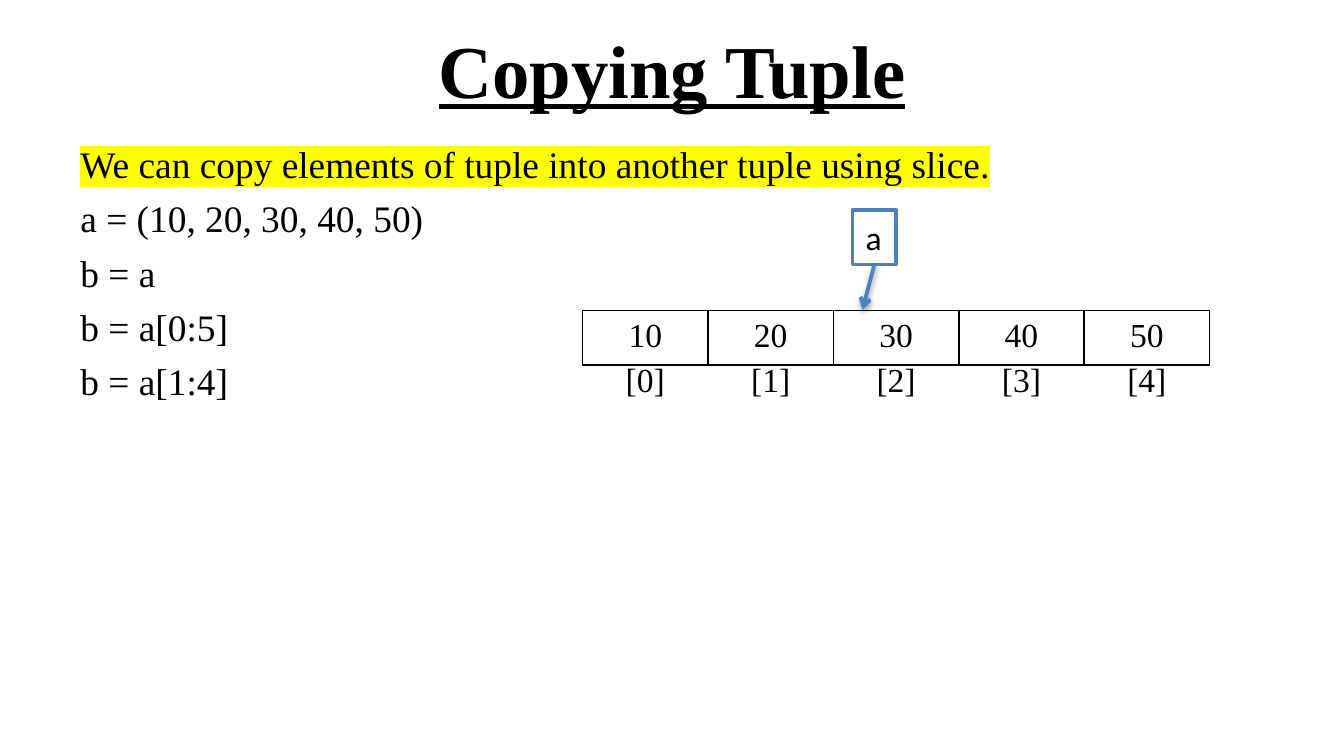
from dataclasses import dataclass

from lxml.etree import SubElement
from pptx import Presentation
from pptx.dml.color import RGBColor
from pptx.enum.shapes import MSO_CONNECTOR as Connector, MSO_SHAPE as Shape
from pptx.enum.text import MSO_ANCHOR as Anchor, MSO_AUTO_SIZE as AutoSize, PP_ALIGN as Align
from pptx.oxml.ns import qn
from pptx.util import Cm, Pt


@dataclass(frozen=True)
class Theme:
    serif: str = "Times New Roman"
    sans: str = "Calibri"
    ink: str = "000000"
    paper: str = "FFFFFF"
    accent: str = "4F81BD"
    marker: str = "FFFF00"
    title_size: int = 40
    body_size: int = 20
    label_size: int = 18
    plain_table: str = "{2D5ABB26-0587-4C30-8999-92F81FD0307C}"


def rgb(value):
    return RGBColor.from_string(value)


def add_color(parent, value):
    return SubElement(parent, qn("a:srgbClr"), val=value)


class SlideBuilder:
    def __init__(self, slide, theme):
        self.slide = slide
        self.theme = theme

    def format_runs(self, paragraph, size, name=None, align=Align.LEFT):
        paragraph.alignment = align
        for run in paragraph.runs:
            run.font.size = Pt(size)
            run.font.name = name or self.theme.serif
            run.font.color.rgb = rgb(self.theme.ink)

    def title(self, text, left, top, width, height):
        shape = self.slide.shapes.title
        shape.left, shape.top, shape.width, shape.height = map(Cm, (left, top, width, height))
        frame = shape.text_frame
        frame.text = text
        frame.vertical_anchor = Anchor.MIDDLE
        self.format_runs(frame.paragraphs[0], self.theme.title_size, align=Align.CENTER)
        font = frame.paragraphs[0].runs[0].font
        font.bold = True
        font.underline = True

    def body(self, lines, left, top, width, height):
        frame = self.slide.shapes.add_textbox(*map(Cm, (left, top, width, height))).text_frame
        frame.word_wrap = True
        frame.text = "\n".join(lines)
        for index, paragraph in enumerate(frame.paragraphs):
            self.format_runs(paragraph, self.theme.body_size)
            if index:
                paragraph.space_before = Pt(5)
        self.highlight(frame.paragraphs[0].runs[0])

    def highlight(self, run):
        properties = run.font._element
        marker = SubElement(properties, qn("a:highlight"))
        add_color(marker, self.theme.marker)
        properties.find(qn("a:latin")).addprevious(marker)

    def name_box(self, text, left, top, width, height):
        shape = self.slide.shapes.add_shape(Shape.RECTANGLE, *map(Cm, (left, top, width, height)))
        shape.shadow.inherit = False
        shape.fill.solid()
        shape.fill.fore_color.rgb = rgb(self.theme.paper)
        shape.line.color.rgb = rgb(self.theme.accent)
        shape.line.width = Pt(2)
        frame = shape.text_frame
        frame.text = text
        frame.word_wrap = False
        frame.auto_size = AutoSize.SHAPE_TO_FIT_TEXT
        frame.vertical_anchor = Anchor.TOP
        self.format_runs(frame.paragraphs[0], self.theme.label_size, self.theme.sans)
        return shape

    def arrow_from(self, shape, end_x, end_y):
        arrow = self.slide.shapes.add_connector(
            Connector.STRAIGHT, shape.left, shape.top, Cm(end_x), Cm(end_y))
        arrow.begin_connect(shape, 2)
        arrow.line.color.rgb = rgb(self.theme.accent)
        arrow.line.width = Pt(2)
        SubElement(arrow.line._get_or_add_ln(), qn("a:tailEnd"), type="arrow")
        # Soft shadow straight below the line
        effects = SubElement(arrow._element.spPr, qn("a:effectLst"))
        shadow = SubElement(effects, qn("a:outerShdw"), blurRad=str(Pt(3.1)),
                            dist=str(Pt(1.6)), dir="5400000", rotWithShape="0")
        SubElement(add_color(shadow, self.theme.ink), qn("a:alpha"), val="38000")

    def row_table(self, values, left, top, width, height, bordered=False):
        table = self.slide.shapes.add_table(
            1, len(values), *map(Cm, (left, top, width, height))).table
        table.first_row = False
        table.horz_banding = False
        table._tbl.tblPr.find(qn("a:tableStyleId")).text = self.theme.plain_table
        for cell, value in zip(table.rows[0].cells, values):
            cell.text_frame.text = value
            self.format_runs(cell.text_frame.paragraphs[0], self.theme.label_size,
                             align=Align.CENTER)
            if bordered:
                self.border(cell)
            cell.fill.background()

    def border(self, cell):
        properties = cell._tc.get_or_add_tcPr()
        for side in ("lnL", "lnR", "lnT", "lnB"):
            line = SubElement(properties, qn(f"a:{side}"), w=str(Pt(1)))
            add_color(SubElement(line, qn("a:solidFill")), self.theme.ink)


def main():
    presentation = Presentation()
    presentation.slide_width = Cm(25.4)
    presentation.slide_height = Cm(14.29)
    slide = presentation.slides.add_slide(presentation.slide_layouts[5])
    builder = SlideBuilder(slide, Theme())

    # Heading and code lines
    margin, content_width = 1.27, 22.86
    builder.title("Copying Tuple", margin, 0.1, content_width, 2.39)
    builder.body([
        "We can copy elements of tuple into another tuple using slice.",
        "a = (10, 20, 30, 40, 50)",
        "b = a",
        "b = a[0:5]",
        "b = a[1:4]",
    ], margin, 2.55, content_width, 9.9)

    # Variable name pointing at the tuple
    name_box = builder.name_box("a", 16.11, 3.97, 0.83, 1.03)
    builder.arrow_from(name_box, 16.3, 5.85)

    # Tuple elements with their indexes below
    values = [str(number) for number in range(10, 60, 10)]
    indexes = [f"[{index}]" for index in range(len(values))]
    left, width, height = 11.01, 11.85, 1.03
    builder.row_table(values, left, 5.87, width, height, bordered=True)
    builder.row_table(indexes, left, 6.72, width, height)

    presentation.save("out.pptx")


if __name__ == "__main__":
    main()
